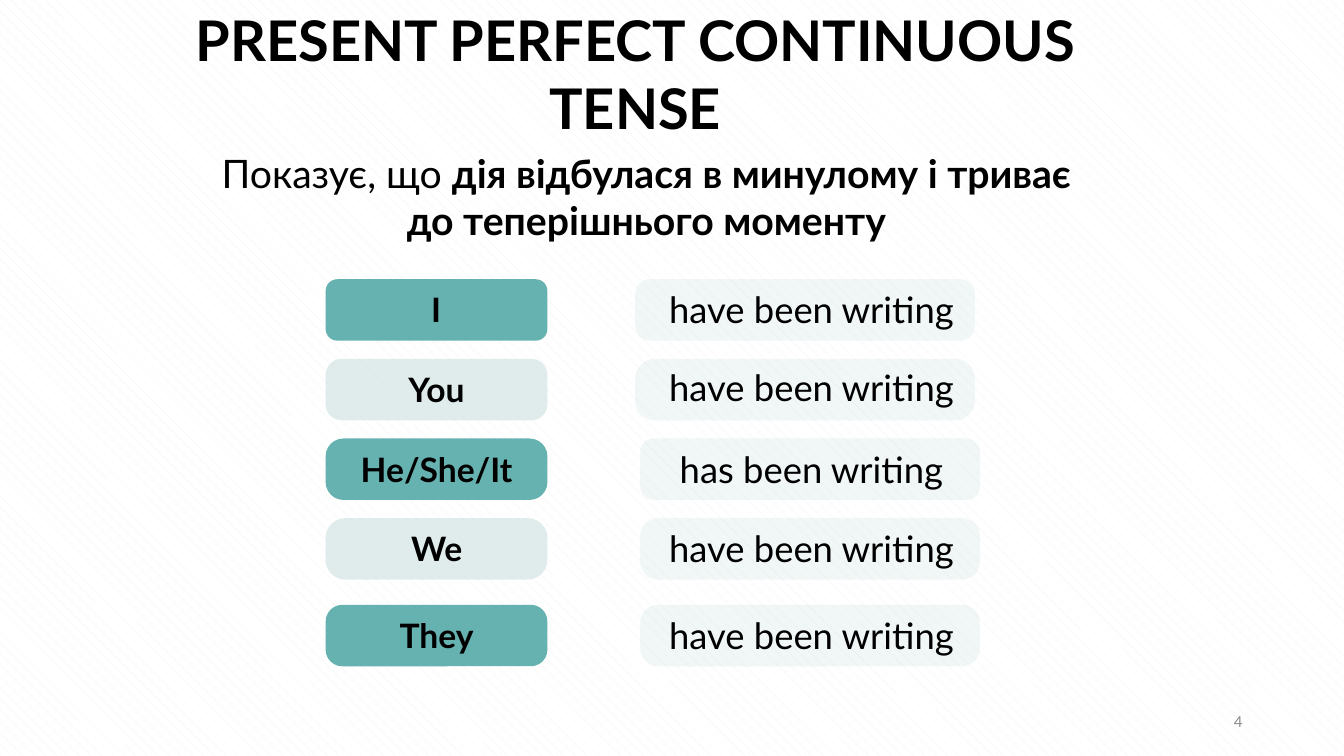
from pptx import Presentation
from pptx.dml.color import RGBColor
from pptx.enum.dml import MSO_PATTERN
from pptx.enum.shapes import MSO_SHAPE
from pptx.enum.text import MSO_ANCHOR, PP_ALIGN
from pptx.oxml.ns import qn
from pptx.util import Emu, Pt
from lxml.etree import SubElement

PX = 9144  # 100 px to the inch
BLACK = RGBColor(0x00, 0x00, 0x00)
WHITE = RGBColor(0xFF, 0xFF, 0xFF)
PALE_GREY = RGBColor(0xF2, 0xF2, 0xF2)
GREY = RGBColor(0x8C, 0x8C, 0x8C)
TEAL = RGBColor(0x66, 0xB2, 0xB0)
MIST = RGBColor(0xC8, 0xDE, 0xDE)
PALE_MIST = RGBColor(0xC8, 0xDF, 0xDE)

ROW_HEIGHT = 61
PRONOUN_LEFT, PRONOUN_WIDTH = 323, 220
VERB_WIDTH = 337
VERB_TEXT_CENTRE = 805

# pronoun, its text width, verb, its text width, row top, verb pill left,
# verb text offset, pronoun corner, verb corner
ROWS = [
    ("I", 11, "have been writing", 312, 277, 630, 8, 0.19, 0.24),
    ("You", 64, "have been writing", 312, 356, 630, 6, 0.26, 0.32),
    ("He/She/It", 160, "has been writing", 288, 435, 635, 8, 0.29, 0.22),
    ("We", 52, "have been writing", 312, 514, 635, 8, 0.32, 0.29),
    ("They", 80, "have been writing", 312, 600, 635, 8, 0.27, 0.29),
]


def box(*lengths):
    return [Emu(length * PX) for length in lengths]


def set_background(slide):
    fill = slide.background.fill
    fill.patterned()
    fill.pattern = MSO_PATTERN.SHINGLE
    fill.fore_color.rgb = PALE_GREY
    fill.back_color.rgb = WHITE


def add_text(slide, bounds, runs, size, color=BLACK, font="Lato",
             align=PP_ALIGN.CENTER, anchor=MSO_ANCHOR.MIDDLE, margin=0, wrap=True):
    """Add one paragraph made of (text, bold) runs."""
    frame = slide.shapes.add_textbox(*box(*bounds)).text_frame
    frame.word_wrap = wrap
    frame.vertical_anchor = anchor
    frame.margin_left = frame.margin_right = Emu(margin * PX)
    frame.margin_top = frame.margin_bottom = Emu(margin * PX // 2)
    paragraph = frame.paragraphs[0]
    paragraph.alignment = align
    for text, bold in runs:
        run = paragraph.add_run()
        run.text = text
        run.font.name = font
        run.font.size = Pt(size)
        run.font.bold = bold
        run.font.color.rgb = color


def add_pill(slide, bounds, color, corner, opacity=100):
    pill = slide.shapes.add_shape(MSO_SHAPE.ROUNDED_RECTANGLE, *box(*bounds))
    pill.adjustments[0] = corner
    pill.shadow.inherit = False
    pill.line.fill.background()
    pill.fill.solid()
    pill.fill.fore_color.rgb = color
    if opacity < 100:
        solid_fill = pill.element.spPr.find(qn("a:solidFill"))
        SubElement(solid_fill[0], qn("a:alpha"), val=str(opacity * 1000))


def add_row(slide, index, pronoun, pronoun_text_width, verb, verb_text_width,
            top, verb_left, verb_offset, pronoun_corner, verb_corner):
    color, opacity = (MIST, 55) if index % 2 else (TEAL, 100)
    add_pill(slide, (PRONOUN_LEFT, top, PRONOUN_WIDTH, ROW_HEIGHT),
             color, pronoun_corner, opacity)
    add_pill(slide, (verb_left, top, VERB_WIDTH, ROW_HEIGHT),
             PALE_MIST, verb_corner, 25)
    pronoun_text_left = PRONOUN_LEFT + (PRONOUN_WIDTH - pronoun_text_width) // 2
    add_text(slide, (pronoun_text_left, top + 10, pronoun_text_width, 40),
             [(pronoun, True)], 24, wrap=False)
    verb_text_left = VERB_TEXT_CENTRE - verb_text_width // 2
    add_text(slide, (verb_text_left, top + verb_offset, verb_text_width, 44),
             [(verb, False)], 26)


def main():
    presentation = Presentation()
    presentation.slide_width, presentation.slide_height = box(1333, 750)
    slide = presentation.slides.add_slide(presentation.slide_layouts[6])
    set_background(slide)
    add_text(slide, (177, 5, 906, 135), [("PRESENT PERFECT CONTINUOUS TENSE", True)], 40)
    add_text(slide, (196, 148, 890, 94),
             [("Показує, що ", False),
              ("дія відбулася в минулому і триває до теперішнього моменту", True)],
             28, anchor=MSO_ANCHOR.TOP)
    for index, row in enumerate(ROWS):
        add_row(slide, index, *row)
    add_text(slide, (942, 695, 300, 40), [("4", False)], 12, GREY, "Calibri",
             PP_ALIGN.RIGHT, margin=10)
    presentation.save("out.pptx")


if __name__ == "__main__":
    main()
